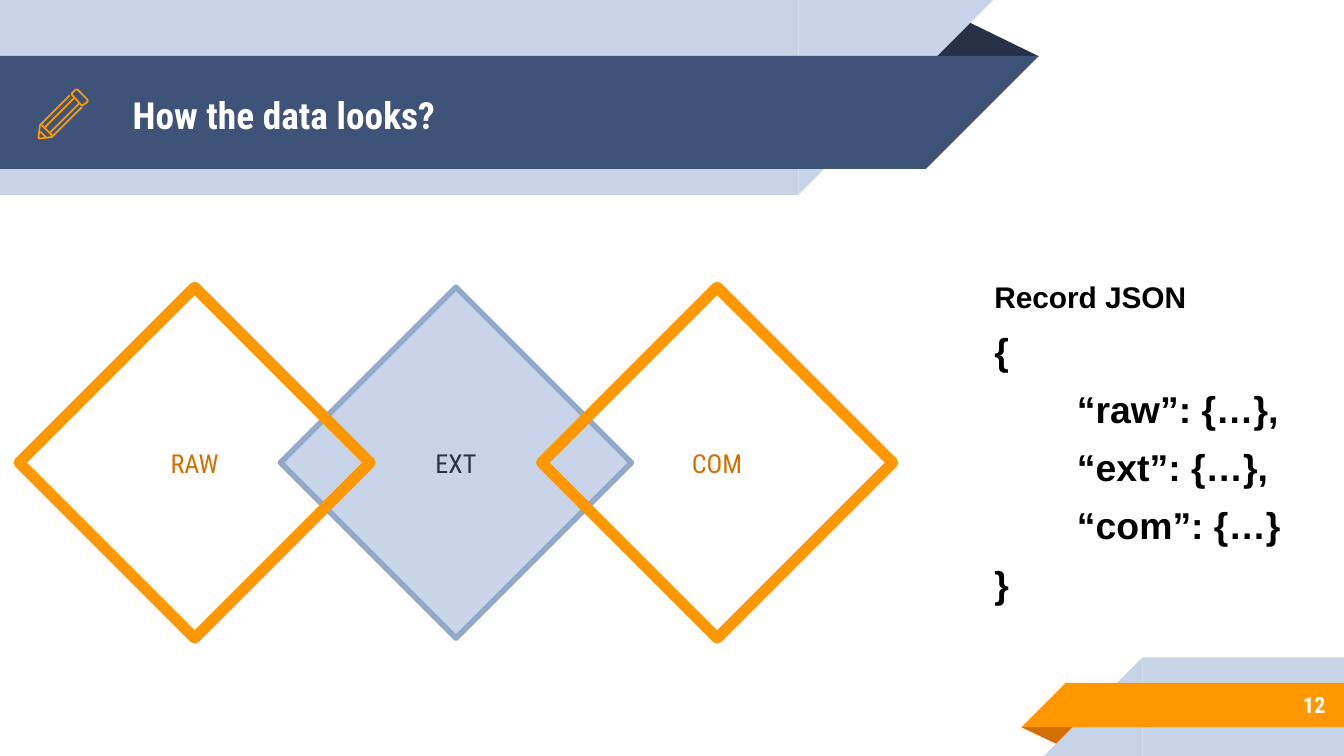
from lxml.etree import SubElement
from pptx import Presentation
from pptx.dml.color import RGBColor
from pptx.enum.shapes import MSO_CONNECTOR, MSO_SHAPE
from pptx.enum.text import MSO_ANCHOR, PP_ALIGN
from pptx.oxml.ns import qn
from pptx.util import Pt

PALE = RGBColor(0xC7, 0xD3, 0xE6)
STEEL = RGBColor(0x92, 0xA8, 0xC8)
NAVY = RGBColor(0x3F, 0x53, 0x78)
DARK = RGBColor(0x26, 0x32, 0x48)
ORANGE = RGBColor(0xFF, 0x98, 0x00)
RUST = RGBColor(0xD2, 0x6F, 0x00)
WHITE = RGBColor(0xFF, 0xFF, 0xFF)
BLACK = RGBColor(0, 0, 0)

HEADING = "Roboto Condensed"
BODY = "Arial"
PENCIL_WIDTH = 0.96
FOLD = 0.324


def set_all(target, values):
    for name, value in values.items():
        setattr(target, name, value)


def set_line(shape, color, width):
    shape.line.color.rgb = color
    shape.line.width = Pt(width)


def add_preset(page, kind, place, fill=None, line=None, flip=None):
    shape = page.shapes.add_shape(kind, *map(Pt, place))
    shape.shadow.inherit = False
    if fill is None:
        shape.fill.background()
    else:
        shape.fill.solid()
        shape.fill.fore_color.rgb = fill
    if line:
        set_line(shape, *line)
    else:
        shape.line.fill.background()
    if flip:
        shape._element.spPr.find(qn("a:xfrm")).set(flip, "1")
    return shape


def add_fold(page, place, fill, rotation=0):
    fold = add_preset(page, MSO_SHAPE.ISOSCELES_TRIANGLE, place, fill)
    fold.adjustments[0] = FOLD
    fold.rotation = rotation


def add_top_band(page, top, width, height, fill):
    add_preset(page, MSO_SHAPE.RECTANGLE, (0, top, width, height), fill)
    add_preset(page, MSO_SHAPE.RIGHT_TRIANGLE, (width, top, height, height), fill, flip="flipV")


def add_bottom_band(page, left, top, height, fill):
    add_preset(page, MSO_SHAPE.RECTANGLE, (left, top, 720 - left, height), fill)
    add_preset(page, MSO_SHAPE.RIGHT_TRIANGLE, (left - height, top, height, height), fill, flip="flipH")


def format_frame(shape, anchor):
    frame = shape.text_frame
    set_all(frame, {"word_wrap": True, "vertical_anchor": anchor})
    set_all(frame, {f"margin_{side}": Pt(7.2) for side in ("left", "top", "right", "bottom")})
    return frame


def write(para, text, size, font, color, bold=True, align=PP_ALIGN.LEFT):
    para.alignment = align
    span = para.add_run()
    span.text = text
    set_all(span.font, {"size": Pt(size), "name": font, "bold": bold})
    span.font.color.rgb = color


def add_label(page, place, text, size, align=PP_ALIGN.LEFT):
    box = page.shapes.add_textbox(*map(Pt, place))
    frame = format_frame(box, MSO_ANCHOR.MIDDLE)
    write(frame.paragraphs[0], text, size, HEADING, WHITE, align=align)


def add_diamond(page, left, text, color, line, fill=None):
    diamond = add_preset(page, MSO_SHAPE.DIAMOND, (left, 153.9, 188, 188), fill, line)
    frame = format_frame(diamond, MSO_ANCHOR.MIDDLE)
    write(frame.paragraphs[0], text, 14, HEADING, color, False, PP_ALIGN.CENTER)


def add_record(page, place, lines):
    box = page.shapes.add_textbox(*map(Pt, place))
    frame = format_frame(box, MSO_ANCHOR.TOP)
    for index, (text, size, indent) in enumerate(lines):
        para = frame.add_paragraph() if index else frame.paragraphs[0]
        set_all(para, {"space_before": Pt(6 if index else 0), "line_spacing": 1.05})
        para._p.get_or_add_pPr().set("marL", str(Pt(indent)))
        write(para, text, size, BODY, BLACK)


def add_outline(group, points, close=False):
    start, *rest = [(Pt(x), Pt(y)) for x, y in points]
    builder = group.shapes.build_freeform(*start)
    builder.add_line_segments(rest, close=close)
    outline = builder.convert_to_shape()
    outline.shadow.inherit = False
    outline.fill.background()
    set_line(outline, ORANGE, PENCIL_WIDTH)


def add_stroke(group, ends):
    stroke = group.shapes.add_connector(MSO_CONNECTOR.STRAIGHT, *map(Pt, ends))
    set_line(stroke, ORANGE, PENCIL_WIDTH)
    SubElement(stroke._element.spPr, qn("a:effectLst"))


def add_pencil(page):
    group = page.shapes.add_group_shape()
    # Eraser, then body with tip
    add_outline(group, [(46.8, 53.3), (41.8, 48.2), (41.1, 47.9), (40.3, 48.2), (38.2, 50.4),
                        (43.9, 56.7), (46.8, 54.7), (47, 54)], close=True)
    add_outline(group, [(37.4, 51.1), (21.6, 67), (21.4, 67.3), (20.7, 73.5), (20.9, 74),
                        (21.4, 74.2), (27.8, 73.4), (28.1, 73.1), (43.9, 57.4)])
    # Edges along the body, tip and cut
    for ends in ((42.5, 55.4, 26.6, 71.3), (23.8, 68.4, 39.6, 52.6),
                 (24.5, 73.4, 21.6, 70.6), (22.3, 67, 28.1, 72.7)):
        add_stroke(group, ends)


def main():
    deck = Presentation()
    set_all(deck, {"slide_width": Pt(720), "slide_height": Pt(405)})
    page = deck.slides.add_slide(deck.slide_layouts[6])

    # Header ribbon
    add_fold(page, (495.4, 10, 61.2, 20.2), DARK)
    add_top_band(page, 0, 427.7, 104.4, PALE)
    add_top_band(page, 30, 496.1, 60.5, NAVY)

    # Footer ribbon
    add_fold(page, (547.2, 389.6, 31, 10), RUST, 180)
    add_bottom_band(page, 612, 352.2, 52.8, PALE)
    add_bottom_band(page, 571, 365.8, 23.8, ORANGE)

    # Title and page number
    add_label(page, (64, 31, 414, 60.5), "How the data looks?", 20)
    add_label(page, (599.8, 365, 117.4, 25.2), "12", 12, PP_ALIGN.RIGHT)

    # Overlapping diamonds
    add_diamond(page, 150.3, "EXT", DARK, (STEEL, 3), PALE)
    for left, text in ((10.3, "RAW"), (290.2, "COM")):
        add_diamond(page, left, text, RUST, (ORANGE, 6))

    # Record layout
    add_record(page, (525.6, 141.1, 194.4, 213.1), [
        ("Record JSON", 16, 0),
        ("{", 20, 0),
        ("“raw”: {…},", 20, 44.3),
        ("“ext”: {…},", 20, 44.3),
        ("“com”: {…}", 20, 44.3),
        ("}", 20, 0),
    ])

    add_pencil(page)
    deck.save("out.pptx")


if __name__ == "__main__":
    main()
